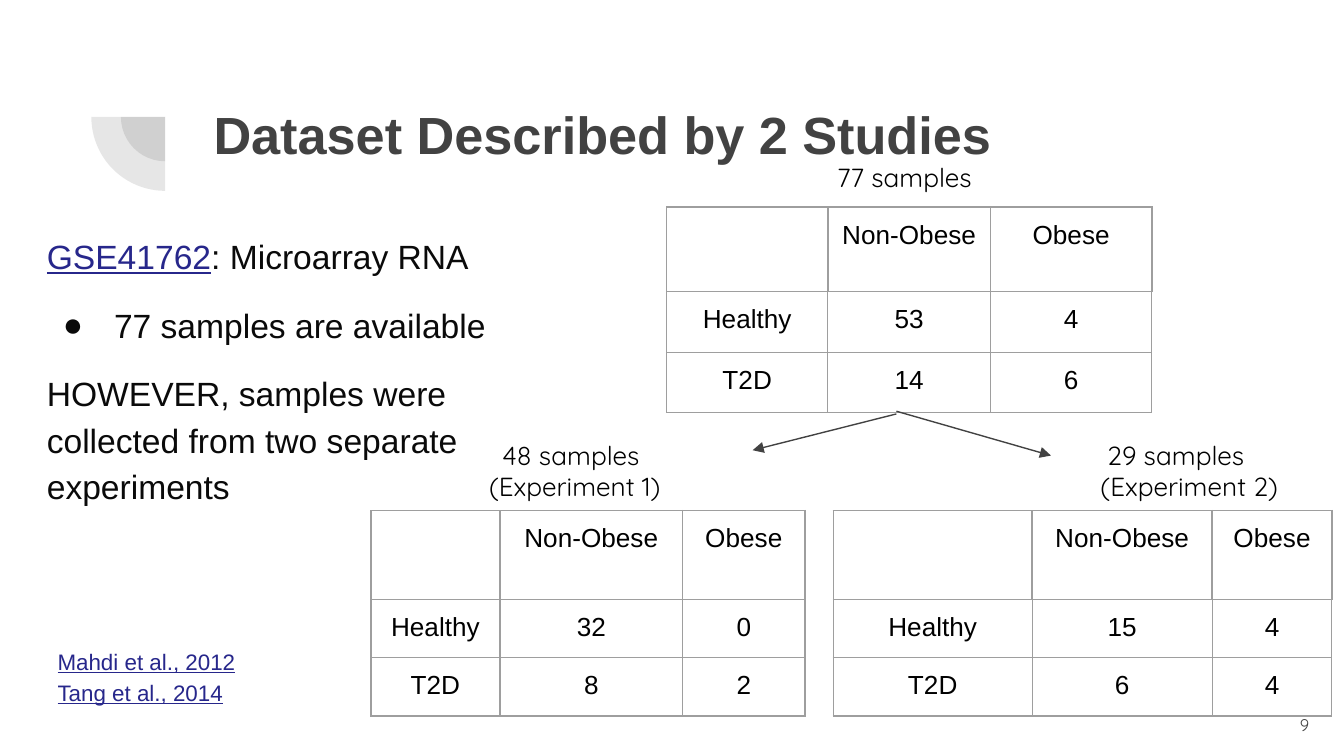
"""Build a slide with one sample table split into two experiments."""
from lxml import etree
from pptx import Presentation
from pptx.dml.color import RGBColor
from pptx.enum import shapes, text
from pptx.oxml import ns
from pptx.util import Inches, Pt

INK = RGBColor(0x42, 0x42, 0x42)
BODY = RGBColor(0x0A, 0x0A, 0x0A)
BLACK = RGBColor(0, 0, 0)
LINK = RGBColor(0x27, 0x27, 0x8B)
RULE = RGBColor(0x9E, 0x9E, 0x9E)
SANS, ROUND = "Arial", "Quicksand"
LEFT, MID, RIGHT = text.PP_ALIGN.LEFT, text.PP_ALIGN.CENTER, text.PP_ALIGN.RIGHT

HEAD = ["", "Non-Obese", "Obese"]
TABLES = [
    ((4.96, 1.54), (1.2, 1.21, 1.2), (0.63, 0.45, 0.45),
     [HEAD, ["Healthy", "53", "4"], ["T2D", "14", "6"]]),
    ((2.76, 3.8), (0.96, 1.36, 0.91), (0.66, 0.43, 0.43),
     [HEAD, ["Healthy", "32", "0"], ["T2D", "8", "2"]]),
    ((6.2, 3.8), (1.48, 1.34, 0.89), (0.66, 0.43, 0.43),
     [HEAD, ["Healthy", "15", "4"], ["T2D", "6", "4"]]),
]
TITLE = [{"runs": [("Dataset Described by 2 Studies", INK)]}]
STUDY = [
    {"runs": [("GSE41762", LINK), (": Microarray RNA", BODY)]},
    {"runs": [("77 samples are available", BODY)], "bullet": True, "gap": 12},
    {"runs": [("HOWEVER, samples were collected from two separate experiments",
               BODY)], "gap": 12},
]
CITES = [{"runs": [("Mahdi et al., 2012", LINK)]},
         {"runs": [("Tang et al., 2014", LINK)]}]
LABELS = [
    ((6.13, 1.1, 1.24, 0.44), [("77 samples", 0)]),
    ((3.54, 3.17, 2.45, 0.67), [("48 samples", 0.1), ("(Experiment 1)", 0)]),
    ((8.09, 3.17, 1.86, 0.67), [("29 samples", 0.05), ("(Experiment 2)", 0)]),
]
ARROWS = [((6.67, 3.08), (5.6, 3.35)), ((6.67, 3.06), (7.82, 3.39))]
HUB, RADII = (1.23, 0.87), (0.33, 0.55)


def inch(vals):
    return [Inches(v) for v in vals]


def sub(node, tag, **attrs):
    return etree.SubElement(node, ns.qn(tag), **attrs)


def tint(node, tag, color):
    sub(sub(node, tag), "a:srgbClr", val=str(color))


def dot(para):
    prop = para._p.get_or_add_pPr()
    prop.set("marL", str(Inches(0.5)))
    prop.set("indent", str(Inches(-0.38)))
    tint(prop, "a:buClr", BODY)
    sub(prop, "a:buFont", typeface=SANS)
    sub(prop, "a:buChar", char="●")


def pad(box):
    box.margin_left = box.margin_right = Inches(0.1)
    box.margin_top = box.margin_bottom = Inches(0.1)


def write(slide, box, paras, size, face=SANS, bold=False, lead=None,
          align=LEFT, anchor=text.MSO_ANCHOR.TOP):
    frame = slide.shapes.add_textbox(*inch(box)).text_frame
    frame.word_wrap = True
    frame.vertical_anchor = anchor
    pad(frame)
    for i, item in enumerate(paras):
        para = frame.add_paragraph() if i else frame.paragraphs[0]
        if item.get("bullet"):
            dot(para)
        if item.get("indent"):
            para._p.get_or_add_pPr().set("marL", str(Inches(item["indent"])))
        para.alignment = align
        if lead:
            para.line_spacing = lead
        if item.get("gap"):
            para.space_before = Pt(item["gap"])
        for words, color in item["runs"]:
            run = para.add_run()
            run.text = words
            font = run.font
            font.name, font.size, font.bold = face, Pt(size), bold
            font.color.rgb = color
            font.underline = color == LINK


def border(cell, width):
    prop = cell._tc.get_or_add_tcPr()
    for side in ("a:lnL", "a:lnR", "a:lnT", "a:lnB"):
        tint(sub(prop, side, w=str(Pt(width))), "a:solidFill", RULE)


def grid(slide, spot, cols, rows, data):
    size = (sum(cols), sum(rows))
    table = slide.shapes.add_table(len(rows), len(cols),
                                   *inch(spot + size)).table
    table.first_row = table.horz_banding = False
    for col, wide in zip(table.columns, cols):
        col.width = Inches(wide)
    for r, (row, tall) in enumerate(zip(table.rows, rows)):
        row.height = Inches(tall)
        for c, cell in enumerate(row.cells):
            border(cell, 1 if r == 0 and c else 0.75)
            cell.fill.background()
            pad(cell)
            para = cell.text_frame.paragraphs[0]
            para.alignment = MID
            if data[r][c]:
                run = para.add_run()
                run.text = data[r][c]
                run.font.name, run.font.size = SANS, Pt(14)
                run.font.color.rgb = BLACK


def wedge(slide, rad):
    box = (HUB[0] - rad, HUB[1] - rad, 2 * rad, 2 * rad)
    pie = slide.shapes.add_shape(shapes.MSO_SHAPE.PIE, *inch(box))
    pie.adjustments[0], pie.adjustments[1] = 108, 162
    pie.rotation = 270
    pie.shadow.inherit = False
    pie.fill.solid()
    pie.fill.fore_color.rgb = INK
    color = pie._element.spPr.find(".//" + ns.qn("a:srgbClr"))
    sub(color, "a:alpha", val="13000")
    pie.line.fill.background()


def arrow(slide, start, end):
    link = slide.shapes.add_connector(shapes.MSO_CONNECTOR.STRAIGHT,
                                      *inch(start + end))
    link.line.color.rgb = INK
    link.line.width = Pt(0.75)
    sub(link.line._get_or_add_ln(), "a:tailEnd", type="triangle")
    sub(link._element.spPr, "a:effectLst")


def main():
    deck = Presentation()
    deck.slide_width = Inches(10)
    deck.slide_height = deck.slide_width * 9 // 16
    slide = deck.slides.add_slide(deck.slide_layouts[6])
    for rad in RADII:
        wedge(slide, rad)
    write(slide, (1.49, 0.66, 7.69, 1.09), TITLE, 28, bold=True)
    write(slide, (0.25, 1.61, 3.61, 2.78), STUDY, 18, lead=1.15)
    for spot, cols, rows, data in TABLES:
        grid(slide, spot, cols, rows, data)
    for box, lines in LABELS:
        paras = [{"runs": [(words, BLACK)], "indent": shift}
                 for words, shift in lines]
        write(slide, box, paras, 14, ROUND)
    for start, end in ARROWS:
        arrow(slide, start, end)
    write(slide, (9.24, 5.18, 0.6, 0.43), [{"runs": [("9", INK)]}], 9, ROUND,
          align=RIGHT, anchor=text.MSO_ANCHOR.MIDDLE)
    write(slide, (0.33, 4.69, 1.6, 0.64), CITES, 12, lead=1.15)
    deck.save("out.pptx")


if __name__ == "__main__":
    main()
